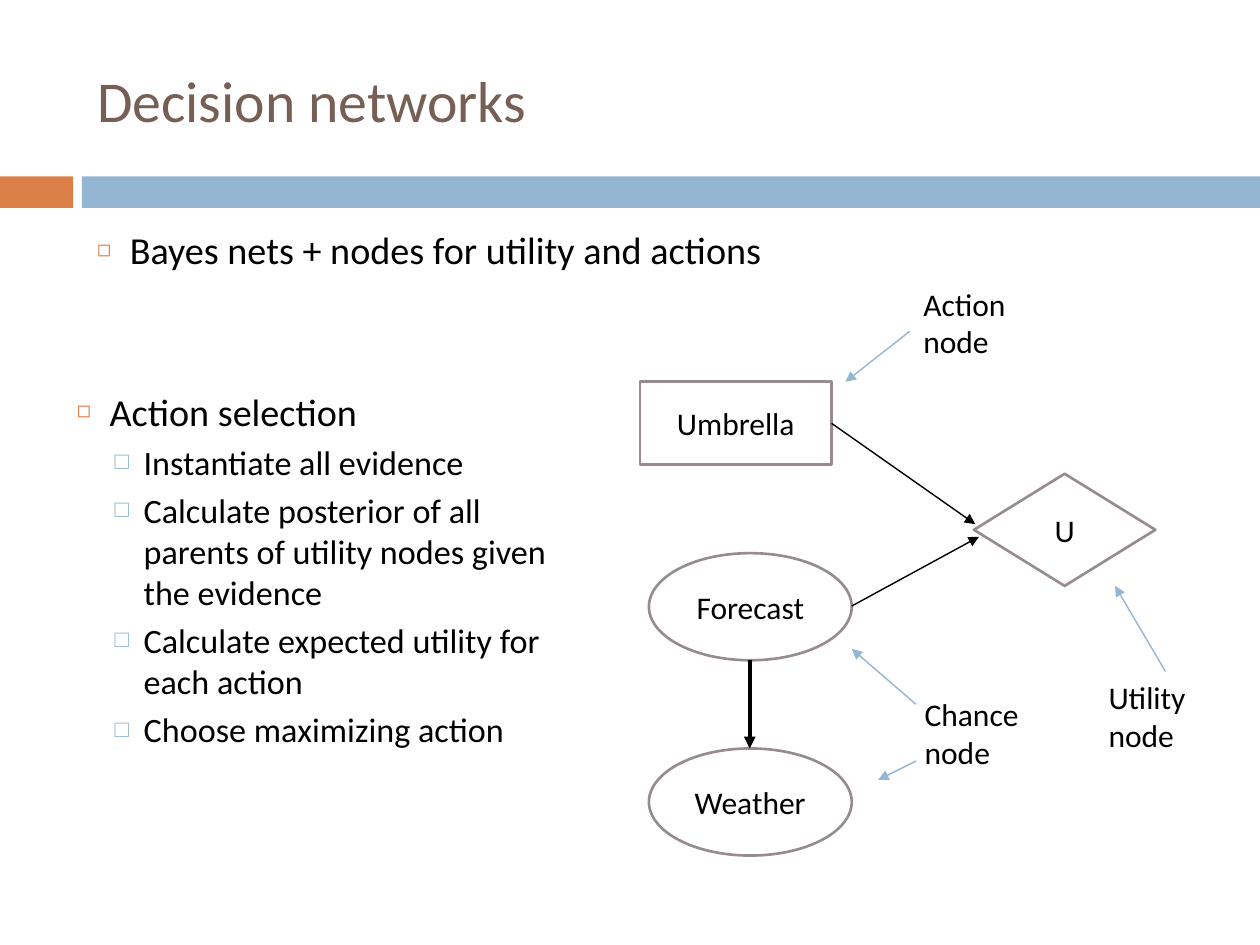
import pptx
import pptx.util
import pptx.dml.color
import pptx.enum.shapes
import pptx.enum.text
import pptx.oxml
import pptx.oxml.ns

COLORS = {
    "title": "775F55",
    "text": "000000",
    "paper": "FFFFFF",
    "orange": "DD8047",
    "blue": "94B6D2",
    "outline": "968C8C",
}
FONT = "Calibri"
COLUMNS, ROWS = 100, 75  # grid cells across and down the slide

SHAPES = pptx.enum.shapes.MSO_SHAPE
ALIGN = pptx.enum.text.PP_ALIGN
ANCHOR = pptx.enum.text.MSO_ANCHOR

# Per list level: text size, space before, indent, hanging, bullet, colour, percent
LEVELS = [
    (21.8, 5.2, 0.26, 0.26, "◻", "orange", 60),
    (19.5, 4.1, 0.53, 0.23, "□", "blue", 70),
]


class Slide:
    """Current slide with its style; positions are in grid columns and rows."""

    def __init__(self, deck):
        self.deck = deck
        self.page = deck.slides.add_slide(deck.slide_layouts.get_by_name("Two Content"))
        self.title_box, *self.list_boxes = self.page.placeholders

    def x(self, columns):
        return round(self.deck.slide_width * columns / COLUMNS)

    def y(self, rows):
        return round(self.deck.slide_height * rows / ROWS)

    def area(self, left, top, width, height):
        return self.x(left), self.y(top), self.x(width), self.y(height)

    def color(self, name):
        return pptx.dml.color.RGBColor.from_string(COLORS[name])

    def element(self, parent, tag, **attributes):
        child = pptx.oxml.parse_xml(f"<{tag} {pptx.oxml.ns.nsdecls('a')}/>")
        for key, value in attributes.items():
            child.set(key, str(value))
        parent.append(child)
        return child

    def move(self, box, area):
        box.left, box.top, box.width, box.height = self.area(*area)
        box.text_frame.auto_size = pptx.enum.text.MSO_AUTO_SIZE.NONE

    def format(self, para, size, color="text", align=ALIGN.LEFT):
        para.alignment = align
        for span in para.runs:
            span.font.name = FONT
            span.font.size = pptx.util.Pt(size)
            span.font.color.rgb = self.color(color)

    def title(self, text, area):
        box = self.title_box
        self.move(box, area)
        box.text_frame.text = text
        box.text_frame.vertical_anchor = ANCHOR.MIDDLE
        self.format(box.text_frame.paragraphs[0], 33, "title")

    def bullets(self, box, area, items):
        self.move(box, area)
        frame = box.text_frame
        frame.text = "\n".join(text for level, text in items)
        for para, (level, text) in zip(frame.paragraphs, items):
            size, before, indent, hanging, bullet, color, percent = LEVELS[level]
            para.level = level
            para.space_before = pptx.util.Pt(before)
            self.format(para, size)
            properties = para._p.get_or_add_pPr()
            properties.set("marL", str(pptx.util.Inches(indent)))
            properties.set("indent", str(-pptx.util.Inches(hanging)))
            tint = self.element(properties, "a:buClr")
            self.element(tint, "a:srgbClr", val=COLORS[color])
            self.element(properties, "a:buSzPct", val=percent * 1000)
            self.element(properties, "a:buChar", char=bullet)

    def shape(self, kind, area, fill):
        shape = self.page.shapes.add_shape(kind, *self.area(*area))
        shape.shadow.inherit = False
        shape.fill.solid()
        shape.fill.fore_color.rgb = self.color(fill)
        shape.line.fill.background()
        return shape

    def node(self, kind, text, area):
        shape = self.shape(kind, area, "paper")
        shape.line.color.rgb = self.color("outline")
        shape.line.width = pptx.util.Pt(1.5)
        shape.text_frame.text = text
        shape.text_frame.vertical_anchor = ANCHOR.MIDDLE
        self.format(shape.text_frame.paragraphs[0], 18, align=ALIGN.CENTER)

    def label(self, text, left, top):
        box = self.page.shapes.add_textbox(*self.area(left, top, 11, 7.1))
        box.text_frame.word_wrap = True
        box.text_frame.text = text
        self.format(box.text_frame.paragraphs[0], 18)

    def arrow(self, start, end, color="text", width=0.79):
        line = self.page.shapes.add_connector(
            pptx.enum.shapes.MSO_CONNECTOR.STRAIGHT,
            self.x(start[0]), self.y(start[1]), self.x(end[0]), self.y(end[1]))
        line.line.color.rgb = self.color(color)
        line.line.width = pptx.util.Pt(width)
        self.element(line.line._get_or_add_ln(), "a:tailEnd", type="triangle")
        self.element(line._element.spPr, "a:effectLst")


def main():
    deck = pptx.Presentation()
    deck.slide_width = pptx.util.Inches(10)
    deck.slide_height = pptx.util.Inches(7.5)
    slide = Slide(deck)

    # Title and the two-colour band under it
    slide.title("Decision networks", (6.7, 2.5, 89.2, 10.8))
    slide.shape(SHAPES.RECTANGLE, (0, 14, 5.8, 2.5), "orange")
    slide.shape(SHAPES.RECTANGLE, (6.5, 14, 93.5, 2.5), "blue")

    # Lists
    summary, selection = slide.list_boxes[:2]
    slide.bullets(summary, (6.7, 17.5, 89.2, 49.2),
                  [(0, "Bayes nets + nodes for utility and actions")])
    slide.bullets(selection, (5.1, 30.3, 40.9, 34.9), [
        (0, "Action selection"),
        (1, "Instantiate all evidence"),
        (1, "Calculate posterior of all parents of utility nodes given the evidence"),
        (1, "Calculate expected utility for each action"),
        (1, "Choose maximizing action"),
    ])
    for box in slide.list_boxes[2:]:  # unused date, footer and number
        box._element.getparent().remove(box._element)

    # Network nodes
    slide.node(SHAPES.RECTANGLE, "Umbrella", (50.8, 30.3, 15.2, 6.6))
    for text, top in (("Forecast", 43.9), ("Weather", 59.4)):
        slide.node(SHAPES.OVAL, text, (51.5, top, 16.1, 8.5))
    slide.node(SHAPES.FLOWCHART_DECISION, "U", (77.3, 37.6, 14.4, 8.9))

    # Network edges
    slide.arrow((66, 33.6), (77.4, 41.6))
    slide.arrow((67.6, 48.1), (77.7, 42.6))
    slide.arrow((59.5, 52.4), (59.5, 59.4), width=2.25)

    # Labels and their pointers
    for text, left, top, pointers in (
        ("Action node", 72.3, 22.1, [((72.2, 26.3), (67.1, 30.3))]),
        ("Chance node", 72.4, 54.7, [((72.7, 60.4), (69.7, 61.9)),
                                     ((72.7, 55.9), (67.6, 51.5))]),
        ("Utility node", 87, 53.3, [((92.5, 53.3), (88.5, 46.5))]),
    ):
        slide.label(text, left, top)
        for start, end in pointers:
            slide.arrow(start, end, "blue")

    deck.save("out.pptx")


if __name__ == "__main__":
    main()
